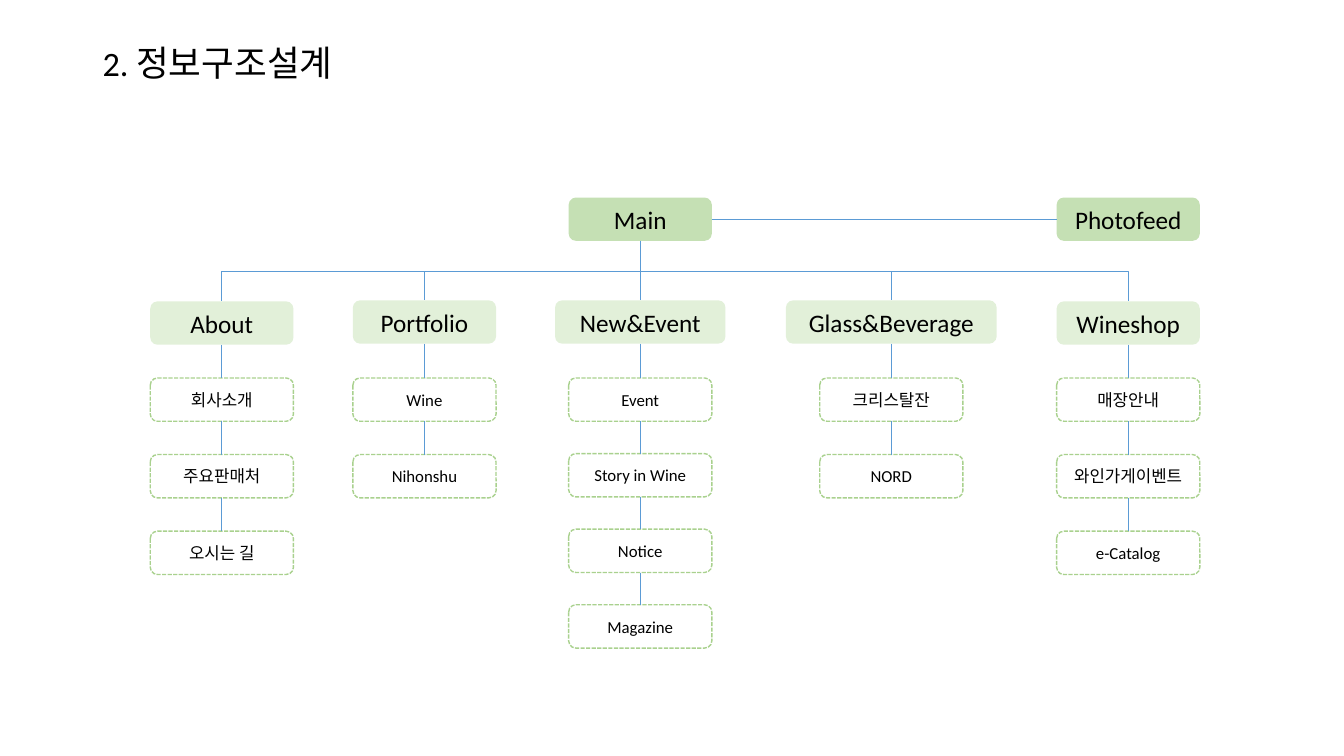
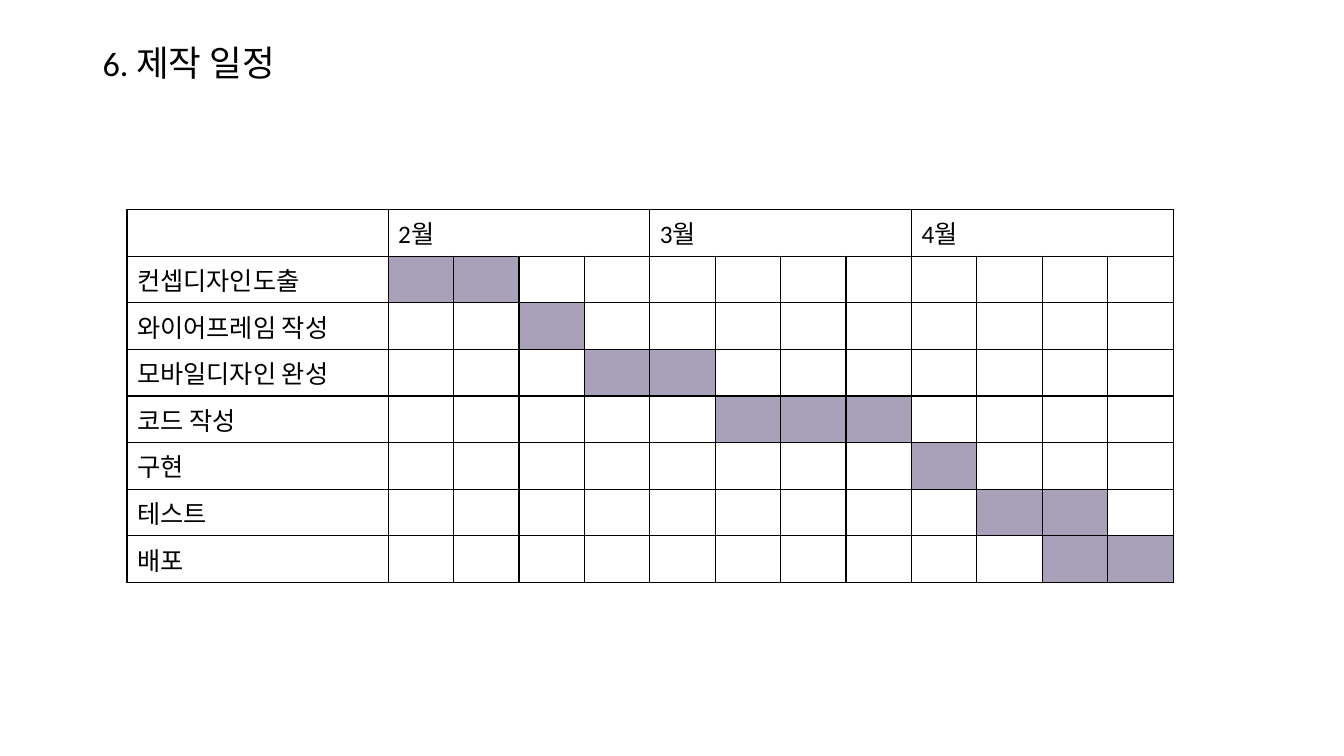
from lxml import etree
from pptx import Presentation
from pptx.dml.color import RGBColor
from pptx.enum.dml import MSO_LINE
from pptx.enum.shapes import MSO_CONNECTOR, MSO_SHAPE
from pptx.enum.text import MSO_ANCHOR, PP_ALIGN
from pptx.oxml.ns import qn
from pptx.util import Inches, Pt

BLACK = RGBColor(0x00, 0x00, 0x00)
GREEN = RGBColor(0xC5, 0xE0, 0xB4)
PALE_GREEN = RGBColor(0xE2, 0xF0, 0xD9)
DASH_GREEN = RGBColor(0xA9, 0xD1, 0x8E)
BLUE = RGBColor(0x5B, 0x9B, 0xD5)
PURPLE = RGBColor(0xA8, 0xA1, 0xB9)
FONT = "Calibri"

TOP, LEFT, BOTTOM, RIGHT = range(4)  # connection sites of a rectangle
BOX_W, BOX_H = 1.42, 0.43
MAIN_X, SOCIAL_X = 6.35, 11.19
MAIN_Y, BUS_Y, PAGE_Y = 1.96, 2.69, 3.75

# Centre, heading, its width and top, step between pages, pages
MENUS = [
    (2.2, "About", BOX_W, 2.99, 0.76, ["회사소개", "주요판매처", "오시는 길"]),
    (4.21, "Portfolio", BOX_W, 2.98, 0.76, ["Wine", "Nihonshu"]),
    (MAIN_X, "New&Event", 1.69, 2.98, 0.75,
     ["Event", "Story in Wine", "Notice", "Magazine"]),
    (8.84, "Glass&Beverage", 2.09, 2.98, 0.76, ["크리스탈잔", "NORD"]),
    (SOCIAL_X, "Wineshop", BOX_W, 2.99, 0.76,
     ["매장안내", "와인가게이벤트", "e-Catalog"]),
]

MONTHS = ["2월", "3월", "4월"]
WEEKS = 4
TABLE_W, TABLE_H, TASK_W = 10.38, 3.7, 2.59
# Task, first week, number of weeks
TASKS = [
    ("컨셉디자인도출", 1, 2),
    ("와이어프레임 작성", 3, 1),
    ("모바일디자인 완성", 4, 2),
    ("코드 작성", 6, 3),
    ("구현", 9, 1),
    ("테스트", 10, 2),
    ("배포", 11, 2),
]


class Deck:
    def __init__(self):
        self.prs = Presentation()
        self.prs.slide_width, self.prs.slide_height = Inches(13.33), Inches(7.5)
        self.s = None

    def slide(self, number, title):
        self.s = self.prs.slides.add_slide(self.prs.slide_layouts[6])
        tf = self.s.shapes.add_textbox(
            Inches(0.92), Inches(0.4), Inches(3.16), Inches(0.49)).text_frame
        tf.word_wrap = True
        tf.vertical_anchor = MSO_ANCHOR.MIDDLE
        p = tf.paragraphs[0]
        p.line_spacing = 0.9
        self.run(p, f"{number}. ", 24.4)
        self.run(p, title, 25.4)

    def run(self, p, text, size):
        r = p.add_run()
        r.text = text
        r.font.size, r.font.name = Pt(size), FONT
        r.font.color.rgb = BLACK

    def box(self, center, y, text, fill=None, width=BOX_W):
        """Add a filled heading, or a dashed page box when no fill is given."""
        sp = self.s.shapes.add_shape(
            MSO_SHAPE.ROUNDED_RECTANGLE, Inches(center - width / 2), Inches(y),
            Inches(width), Inches(BOX_H))
        sp.shadow.inherit = False
        if fill:
            sp.fill.solid()
            sp.fill.fore_color.rgb = fill
            sp.line.fill.background()
        else:
            sp.fill.background()
            sp.line.color.rgb = DASH_GREEN
            sp.line.width = Pt(1)
            sp.line.dash_style = MSO_LINE.SQUARE_DOT
        tf = sp.text_frame
        tf.word_wrap = True
        tf.vertical_anchor = MSO_ANCHOR.MIDDLE
        p = tf.paragraphs[0]
        p.alignment = PP_ALIGN.CENTER
        self.run(p, text, 18 if fill else 12)
        return sp

    def connector(self, kind, x=0, y=0):
        c = self.s.shapes.add_connector(kind, Inches(x), Inches(y), Inches(x), Inches(y))
        c.line.color.rgb = BLUE
        c.line.width = Pt(0.5)
        etree.SubElement(c._element.spPr, qn("a:effectLst"))
        return c

    def link(self, a, b, start=BOTTOM, end=TOP):
        c = self.connector(MSO_CONNECTOR.STRAIGHT)
        c.begin_connect(a, start)
        c.end_connect(b, end)

    def drop(self, x, y, head):
        self.connector(MSO_CONNECTOR.STRAIGHT, x, y).end_connect(head, TOP)

    def elbow(self, a, b):
        """Join the bottom of a to the top of b: down, across, down."""
        c = self.connector(MSO_CONNECTOR.ELBOW)
        c.begin_connect(a, BOTTOM)
        c.end_connect(b, TOP)
        x1, y1, x2, y2 = c.begin_x, c.begin_y, c.end_x, c.end_y
        c.width, c.height = y2 - y1, abs(x2 - x1)
        c.left = (x1 + x2 - c.width) // 2
        c.top = (y1 + y2 - c.height) // 2
        to_right = x2 > x1
        xfrm = c._element.spPr.find(qn("a:xfrm"))
        xfrm.set("rot", str((270 if to_right else 90) * 60000))
        xfrm.set("flipH", "1" if to_right else "0")

    def table(self, x, y, widths, rows, height):
        t = self.s.shapes.add_table(
            rows, len(widths), Inches(x), Inches(y),
            Inches(sum(widths)), Inches(height)).table
        t.first_row = t.horz_banding = False
        for column, width in zip(t.columns, widths):
            column.width = Inches(width)
        for row in t.rows:
            row.height = Inches(height / rows)
        for cell in (c for row in t.rows for c in row.cells):
            self.borders(cell)
            cell.fill.background()
        return t

    def borders(self, cell):
        tcPr = cell._tc.get_or_add_tcPr()
        for side in ("lnL", "lnR", "lnT", "lnB"):
            ln = etree.SubElement(tcPr, qn(f"a:{side}"), w=str(Pt(1)))
            fill = etree.SubElement(ln, qn("a:solidFill"))
            etree.SubElement(fill, qn("a:srgbClr"), val=str(BLACK))

    def cell_text(self, cell, text):
        self.run(cell.text_frame.paragraphs[0], text, 18)


def site_map(deck):
    deck.slide(2, "정보구조설계")
    main_box = deck.box(MAIN_X, MAIN_Y, "Main", GREEN)
    social = deck.box(SOCIAL_X, MAIN_Y, "Photofeed", GREEN)
    deck.link(main_box, social, RIGHT, LEFT)
    for i, (center, name, width, y, step, pages) in enumerate(MENUS):
        head = deck.box(center, y, name, PALE_GREEN, width)
        if i in (0, len(MENUS) - 1):
            deck.elbow(main_box, head)
        elif center == MAIN_X:
            deck.link(main_box, head)
        else:
            deck.drop(center, BUS_Y, head)
        above = head
        for j, page in enumerate(pages):
            box = deck.box(center, PAGE_Y + j * step, page)
            deck.link(above, box)
            above = box


def schedule(deck):
    deck.slide(6, "제작 일정")
    weeks = WEEKS * len(MONTHS)
    widths = [TASK_W] + [(TABLE_W - TASK_W) / weeks] * weeks
    t = deck.table(1.26, 2.08, widths, len(TASKS) + 1, TABLE_H)
    for i, month in enumerate(MONTHS):
        first = 1 + i * WEEKS
        t.cell(0, first).merge(t.cell(0, first + WEEKS - 1))
        deck.cell_text(t.cell(0, first), month)
    for row, (task, start, length) in enumerate(TASKS, 1):
        deck.cell_text(t.cell(row, 0), task)
        for week in range(start, start + length):
            fill = t.cell(row, week).fill
            fill.solid()
            fill.fore_color.rgb = PURPLE


def main():
    deck = Deck()
    site_map(deck)
    schedule(deck)
    deck.prs.save("out.pptx")


if __name__ == "__main__":
    main()
